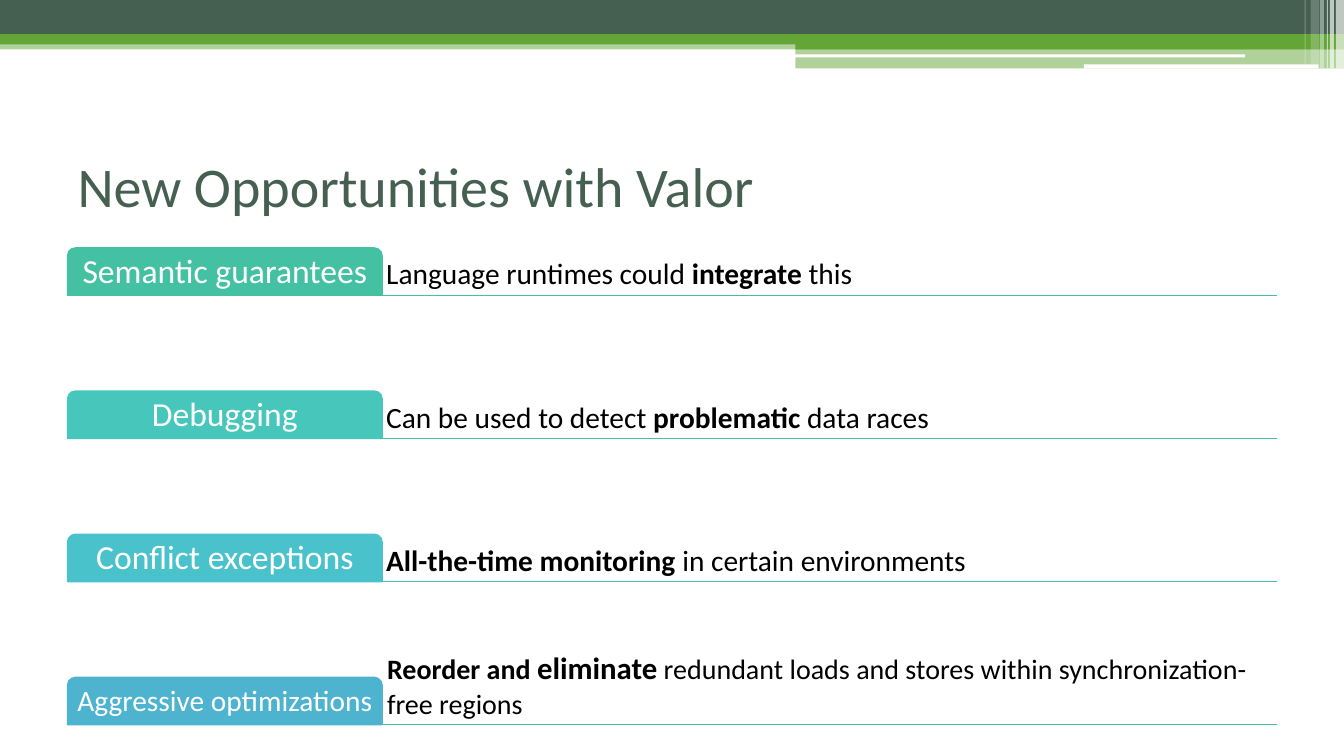
from dataclasses import dataclass

from lxml.etree import SubElement
from pptx import Presentation
from pptx.dml.color import RGBColor
from pptx.enum.shapes import MSO_CONNECTOR, MSO_SHAPE
from pptx.enum.text import MSO_ANCHOR, PP_ALIGN
from pptx.oxml.ns import qn
from pptx.util import Inches, Pt


@dataclass(frozen=True)
class Theme:
    font: str = "Calibri"
    dark: str = "455F51"
    green: str = "63A537"
    white: str = "FFFFFF"
    black: str = "000000"
    rule: str = "44C1A3"
    title_size: int = 40
    label_size: int = 24
    body_size: int = 21
    small_size: int = 20
    accent_size: int = 22


T = Theme()

TITLE = "New Opportunities with Valor"

# label, label size, tab colour, runs as (text, bold)
ROWS = [
    ("Semantic guarantees", T.label_size, "44C1A3",
     [("Language runtimes could ", False), ("integrate", True), (" this", False)]),
    ("Debugging", T.label_size, "47C6BB",
     [("Can be used to detect ", False), ("problematic", True), (" data races", False)]),
    ("Conflict exceptions", T.label_size, "4AC2CB",
     [("All-the-time monitoring", True), (" in certain environments", False)]),
    ("Aggressive optimizations", T.body_size, "4EB3CF", None),
]

# text, bold, size
LAST_NOTE = [
    ("Reorder and ", True, T.small_size),
    ("eliminate", True, T.accent_size),
    (" redundant loads and stores within synchronization-free regions", False, T.small_size),
]

# left, top, width, height, colour, opacity in percent
BANDS = [
    (0, 0.4, 13.33, 0.09, T.green, 50),
    (0, 0, 13.33, 0.34, T.dark, 100),
    (0, 0.34, 13.33, 0.1, T.green, 100),
    (7.89, 0.39, 5.44, 0.1, T.green, 100),
    (7.89, 0.48, 5.44, 0.2, T.green, 50),
    (7.88, 0.54, 4.47, 0.03, T.white, 100),
    (10.75, 0.64, 2.33, 0.04, T.white, 100),
    (13.25, 0, 0.08, 0.68, T.white, 65),
    (13.19, 0, 0.04, 0.68, T.white, 65),
    (13.16, 0, 0.01, 0.68, T.white, 60),
    (13.09, 0, 0.04, 0.68, T.white, 40),
    (13, 0, 0.08, 0.64, T.white, 20),
    (12.94, 0, 0.01, 0.64, T.white, 30),
]

LEFT, RIGHT = 0.67, 12.67
TAB_W, TAB_H = 3.12, 0.47
FIRST_TOP, PITCH = 2.46, 1.42


def rgb(color):
    return RGBColor.from_string(color)


def box(*lengths):
    return [Inches(v) for v in lengths]


def write(shape, runs, size=T.body_size, color=T.black, align=PP_ALIGN.LEFT,
          anchor=MSO_ANCHOR.MIDDLE, insets=(0.04, 0.04), spacing=0.9):
    """Fill a shape with one paragraph; a run is (text, bold[, size])."""
    tf = shape.text_frame
    tf.word_wrap = True
    tf.vertical_anchor = anchor
    tf.margin_left = tf.margin_right = Inches(insets[0])
    tf.margin_top = tf.margin_bottom = Inches(insets[1])
    p = tf.paragraphs[0]
    p.alignment = align
    p.line_spacing = spacing
    for text, bold, *own_size in runs:
        r = p.add_run()
        r.text = text
        r.font.name = T.font
        r.font.size = Pt(own_size[0] if own_size else size)
        r.font.bold = bold
        r.font.color.rgb = rgb(color)


def add_filled(slide, kind, place, color, opacity=100):
    sp = slide.shapes.add_shape(kind, *box(*place))
    sp.shadow.inherit = False
    sp.fill.solid()
    sp.fill.fore_color.rgb = rgb(color)
    sp.line.fill.background()
    if opacity < 100:
        clr = sp.fill._xPr.find(qn("a:solidFill"))[0]
        SubElement(clr, qn("a:alpha")).set("val", str(opacity * 1000))
    return sp


def add_rule(slide, y):
    line = slide.shapes.add_connector(MSO_CONNECTOR.STRAIGHT, *box(LEFT, y, RIGHT, y))
    line.line.color.rgb = rgb(T.rule)
    line.line.width = Pt(1)
    SubElement(line._element.spPr, qn("a:effectLst"))


def add_tab(slide, top, label, size, color):
    tab = add_filled(slide, MSO_SHAPE.ROUND_2_SAME_RECTANGLE,
                     (LEFT, top, TAB_W, TAB_H), color)
    tab.adjustments[0], tab.adjustments[1] = 0.167, 0
    tab.line.color.rgb = rgb(color)
    tab.line.width = Pt(1)
    write(tab, [(label, False)], size=size, color=T.white, align=PP_ALIGN.CENTER)


def main():
    prs = Presentation()
    prs.slide_width, prs.slide_height = box(13.33, 7.5)
    slide = prs.slides.add_slide(prs.slide_layouts[5])

    for *place, color, opacity in BANDS:
        add_filled(slide, MSO_SHAPE.RECTANGLE, place, color, opacity)

    title = slide.shapes.title
    title.left, title.top, title.width, title.height = box(LEFT, 1.25, 12, 1.17)
    write(title, [(TITLE, False)], size=T.title_size, color=T.dark,
          insets=(0.1, 0.05), spacing=1.0)

    text_left = LEFT + TAB_W
    for i, (label, size, color, runs) in enumerate(ROWS):
        top = FIRST_TOP + i * PITCH
        add_rule(slide, top + TAB_H)
        add_tab(slide, top, label, size, color)
        if runs:
            tb = slide.shapes.add_textbox(*box(text_left, top, RIGHT - text_left, TAB_H))
            write(tb, runs, anchor=MSO_ANCHOR.BOTTOM)

    note = slide.shapes.add_textbox(*box(3.74, 6.39, 8.79, 0.81))
    write(note, LAST_NOTE, anchor=MSO_ANCHOR.TOP, insets=(0.1, 0.05), spacing=1.0)

    prs.save("out.pptx")


if __name__ == "__main__":
    main()
